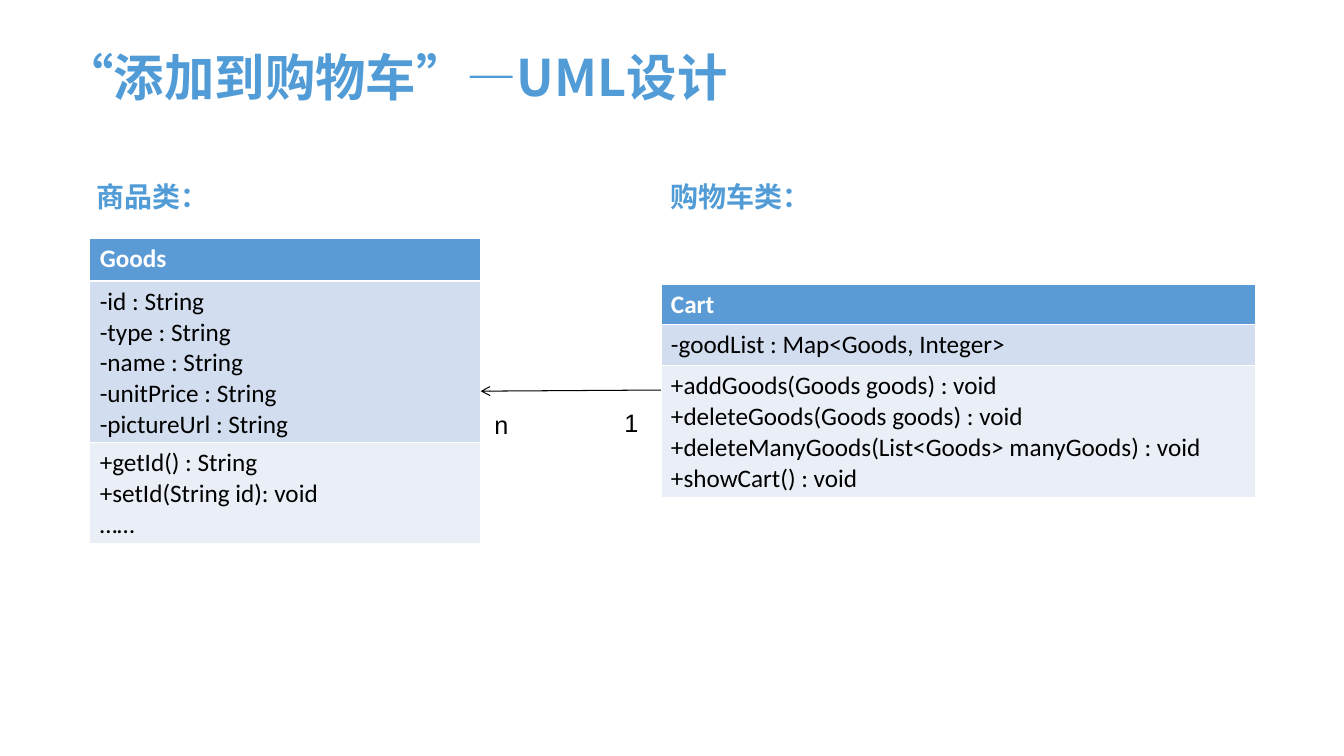
from lxml.etree import SubElement
from pptx import Presentation
from pptx.dml.color import RGBColor
from pptx.enum.shapes import MSO_CONNECTOR as Connector
from pptx.enum.text import MSO_ANCHOR as Anchor, MSO_AUTO_SIZE as AutoSize, PP_ALIGN as Align
from pptx.oxml import parse_xml
from pptx.oxml.ns import nsdecls, qn
from pptx.util import Pt

HEADING_BLUE = RGBColor(0x51, 0x9C, 0xD6)
HEADER_FILL = RGBColor(0x5B, 0x9B, 0xD5)
FIELD_FILL = RGBColor(0xD2, 0xDE, 0xEF)
METHOD_FILL = RGBColor(0xEA, 0xEF, 0xF7)
WHITE = RGBColor(0xFF, 0xFF, 0xFF)
BLACK = RGBColor(0, 0, 0)

CJK_FONT = "Noto Sans CJK SC"
THIN, THICK = 0.45, 1.47

GOODS = [
    ["Goods"],
    ["-id : String", "-type : String", "-name : String", "-unitPrice : String", "-pictureUrl : String"],
    ["+getId() : String", "+setId(String id): void", "……"],
]
CART = [
    ["Cart"],
    ["-goodList : Map<Goods, Integer>"],
    ["+addGoods(Goods goods) : void", "+deleteGoods(Goods goods) : void",
     "+deleteManyGoods(List<Goods> manyGoods) : void", "+showCart() : void"],
]


def format_text(frame, font_name, size, color, bold=False):
    for paragraph in frame.paragraphs:
        paragraph.alignment = Align.LEFT
        for run in paragraph.runs:
            run.font.name = font_name
            run.font.size = Pt(size)
            run.font.bold = bold
            run.font.color.rgb = color
            SubElement(run.font._element, qn("a:ea"), typeface=font_name)


def add_title(slide, text):
    title = slide.shapes.title
    title.left, title.top, title.width, title.height = Pt(38.2), Pt(29.5), Pt(504), Pt(93.6)
    frame = title.text_frame
    frame.text = text
    frame.word_wrap = True
    frame.auto_size = AutoSize.NONE
    frame.vertical_anchor = Anchor.TOP
    format_text(frame, CJK_FONT, 36, HEADING_BLUE, True)


def add_label(slide, text, left, top, width, height, font_name, size, color, bold=False, wrap=True):
    label = slide.shapes.add_textbox(Pt(left), Pt(top), Pt(width), Pt(height))
    frame = label.text_frame
    frame.text = text
    frame.word_wrap = wrap
    format_text(frame, font_name, size, color, bold)


def set_borders(cell, top, bottom):
    properties = cell._tc.get_or_add_tcPr()
    widths = {"lnL": THIN, "lnR": THIN, "lnT": top, "lnB": bottom}
    for position, (side, width) in enumerate(widths.items()):
        properties.insert(position, parse_xml(
            f'<a:{side} {nsdecls("a")} w="{Pt(width)}"><a:solidFill>'
            f'<a:srgbClr val="{WHITE}"/></a:solidFill></a:{side}>'))


def add_class_table(slide, sections, left, top, width, heights):
    table = slide.shapes.add_table(
        len(sections), 1, Pt(left), Pt(top), Pt(width), Pt(sum(heights))).table
    styles = [
        (HEADER_FILL, WHITE, True, THIN, THICK),
        (FIELD_FILL, BLACK, False, THICK, THIN),
        (METHOD_FILL, BLACK, False, THIN, THIN),
    ]
    for index, (lines, height, style) in enumerate(zip(sections, heights, styles)):
        fill, color, bold, top_border, bottom_border = style
        table.rows[index].height = Pt(height)
        cell = table.cell(index, 0)
        cell.margin_bottom = Pt(1.5)
        cell.fill.solid()
        cell.fill.fore_color.rgb = fill
        cell.text_frame.text = "\n".join(lines)
        format_text(cell.text_frame, "Calibri", 18, color, bold)
        set_borders(cell, top_border, bottom_border)


def add_association(slide, start_x, start_y, end_x, end_y):
    arrow = slide.shapes.add_connector(
        Connector.STRAIGHT, Pt(start_x), Pt(start_y), Pt(end_x), Pt(end_y))
    arrow.line.color.rgb = BLACK
    arrow.line.width = Pt(0.75)
    SubElement(arrow.line._get_or_add_ln(), qn("a:tailEnd"), type="arrow")
    SubElement(arrow._element.spPr, qn("a:effectLst"))


def main():
    deck = Presentation()
    deck.slide_width, deck.slide_height = Pt(960.5), Pt(540)
    slide = deck.slides.add_slide(deck.slide_layouts[5])

    add_title(slide, "“添加到购物车”—UML设计")
    add_class_table(slide, GOODS, 64.1, 170, 279.4, [31, 115.2, 72])
    add_class_table(slide, CART, 472.3, 203, 424.8, [28.8, 29.5, 93.6])
    for heading, left in [("商品类：", 61.9), ("购物车类：", 472.3)]:
        add_label(slide, heading, left, 124.6, 368, 31.7, CJK_FONT, 20, HEADING_BLUE, True)
    add_association(slide, 472.3, 278.6, 343.5, 279.4)
    for count, left, top in [("n", 346.3, 288.7), ("1", 439.2, 287.3)]:
        add_label(slide, count, left, top, 24.5, 28.8, "Arial", 18, BLACK, wrap=False)

    deck.save("out.pptx")


if __name__ == "__main__":
    main()
